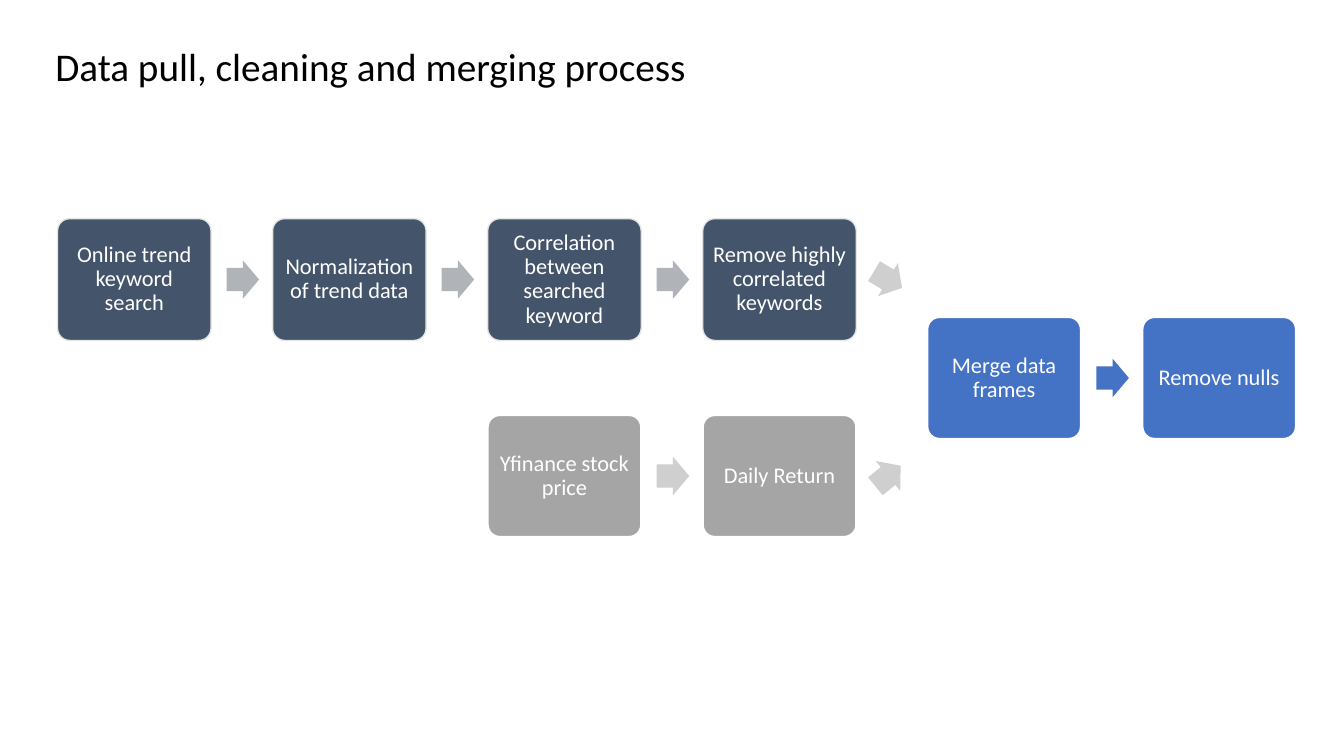
from dataclasses import dataclass
from pptx import Presentation
from pptx import util as u
from pptx.dml import color as c
from pptx.enum import shapes, text


@dataclass
class Theme:
    font: str = "Calibri"
    head: int = 28
    body: int = 16
    ink: str = "000000"
    white: str = "FFFFFF"
    navy: str = "44546A"
    pale: str = "E7E6E6"
    steel: str = "B0B4B9"
    gray: str = "A5A5A5"
    light: str = "CFCFCF"
    blue: str = "4472C4"


def style(para, size, ink, align):
    for key, val in {"name": theme.font, "size": u.Pt(size), "bold": False}.items():
        setattr(para.font, key, val)
    para.font.color.rgb = c.RGBColor.from_string(ink)
    para.alignment = align


def draw(kind, left, top, wide, high, fill):
    shape = slide.shapes.add_shape(kind, u.Cm(left), u.Cm(top), u.Cm(wide), u.Cm(high))
    shape.shadow.inherit = False
    shape.fill.solid()
    shape.fill.fore_color.rgb = c.RGBColor.from_string(fill)
    shape.line.fill.background()
    return shape


theme = Theme()
deck = Presentation()
deck.slide_width, deck.slide_height = u.Cm(33.87), u.Cm(19.05)
slide = deck.slides.add_slide(deck.slide_layouts[5])

title = slide.shapes.title
place = {"left": 1.14, "top": 0.94, "width": 31.06, "height": 1.45}
for key, val in place.items():
    setattr(title, key, u.Cm(val))
title.text = "Data pull, cleaning and merging process"
frame = {"word_wrap": True, "auto_size": text.MSO_AUTO_SIZE.NONE,
         "vertical_anchor": text.MSO_ANCHOR.TOP}
for key, val in frame.items():
    setattr(title.text_frame, key, val)
style(title.text_frame.paragraphs[0], theme.head, theme.ink, text.PP_ALIGN.LEFT)

wide, high, step = 3.87, 3.07, 5.42
tip_wide, tip_high, tip_gap = 0.82, 0.97, 4.26
first = 1.45
pad = u.Cm(0.15)
inset = {"word_wrap": True, "vertical_anchor": text.MSO_ANCHOR.MIDDLE,
         "margin_left": pad, "margin_right": pad, "margin_top": pad, "margin_bottom": pad}

flows = [
    (first, 5.51, theme.navy, theme.pale, 1, theme.steel, 30.9,
     ["Online trend keyword search", "Normalization of trend data",
      "Correlation between searched keyword", "Remove highly correlated keywords"]),
    (first + 2 * step, 10.46, theme.gray, theme.white, 1.5, theme.light, 320.8,
     ["Yfinance stock price", "Daily Return"]),
    (23.37, 7.99, theme.blue, theme.white, 1.5, theme.blue, None,
     ["Merge data frames", "Remove nulls"]),
]

for start, top, fill, edge, weight, tint, turn, steps in flows:
    for i, label in enumerate(steps):
        left = start + i * step
        box = draw(shapes.MSO_SHAPE.ROUNDED_RECTANGLE, left, top, wide, high, fill)
        box.adjustments[0] = 0.1
        box.line.color.rgb = c.RGBColor.from_string(edge)
        box.line.width = u.Pt(weight)
        for key, val in inset.items():
            setattr(box.text_frame, key, val)
        para = box.text_frame.paragraphs[0]
        para.text = label
        para.line_spacing = 0.9
        style(para, theme.body, theme.white, text.PP_ALIGN.CENTER)

        last = i == len(steps) - 1
        if last and turn is None:
            continue
        tip = draw(shapes.MSO_SHAPE.RIGHT_ARROW, left + tip_gap, top + (high - tip_high) / 2,
                   tip_wide, tip_high, theme.light if last else tint)
        tip.adjustments[0] = 0.6
        tip.adjustments[1] = 0.5
        if last:
            tip.rotation = turn

deck.save("out.pptx")
